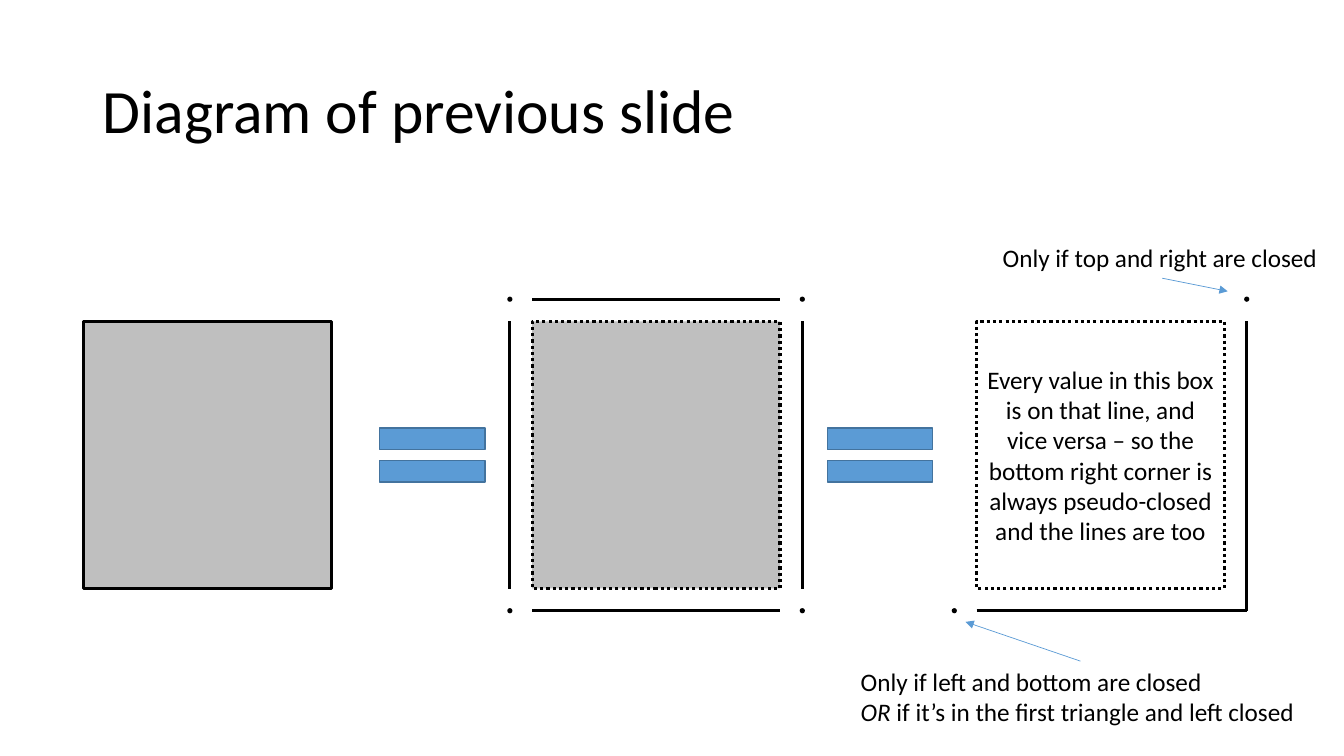
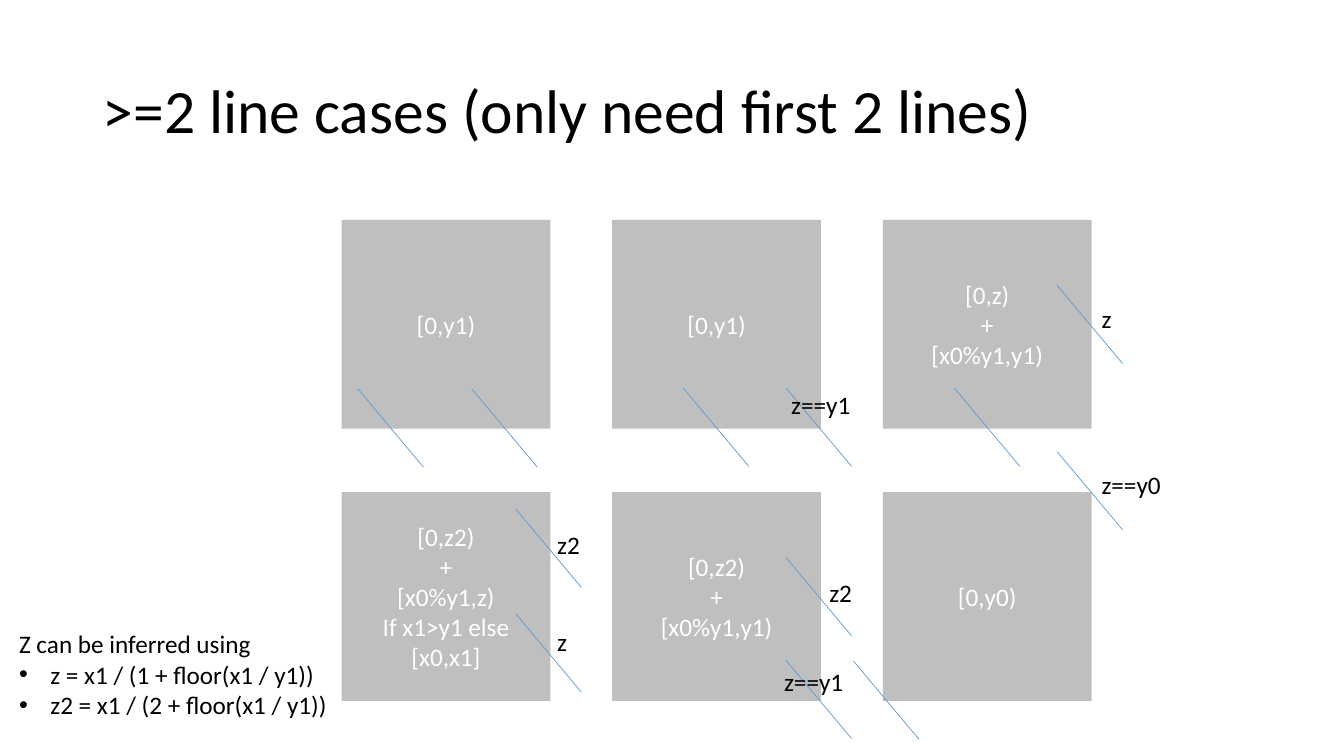
from typing import NamedTuple, Optional

from lxml.etree import SubElement
from pptx import Presentation
from pptx.dml.color import RGBColor as RGB
from pptx.enum.dml import MSO_LINE_DASH_STYLE as Dash
from pptx.enum.shapes import MSO_CONNECTOR as Link, MSO_SHAPE as Kind
from pptx.enum.text import MSO_ANCHOR as Anchor, MSO_AUTO_SIZE as Fit, PP_ALIGN as Align
from pptx.oxml.ns import qn
from pptx.util import Cm, Pt

FONT = "Calibri"
COLORS = {
    "black": "000000",
    "white": "FFFFFF",
    "gray": "BFBFBF",
    "blue": "5B9BD5",
    "edge": "43739E",
}


class Box(NamedTuple):
    x: float
    y: float
    w: float
    h: float

    @property
    def right(self) -> float:
        return self.x + self.w

    @property
    def bottom(self) -> float:
        return self.y + self.h

    def grown(self, gap: float) -> "Box":
        return Box(self.x - gap, self.y - gap, self.w + 2 * gap, self.h + 2 * gap)


class Label(NamedTuple):
    text: str
    box: Box
    italic: str = ""
    bullets_from: Optional[int] = None


class Segment(NamedTuple):
    x1: float
    y1: float
    x2: float
    y2: float


def color(name: str) -> RGB:
    return RGB.from_string(COLORS[name])


def write(tf, text: str, *, size: float = 18, ink: str = "black", align=Align.LEFT,
          anchor=Anchor.TOP, wrap: bool = True, fit=Fit.NONE, spacing: float = 1.0,
          italic: str = "", bullets_from: Optional[int] = None) -> None:
    tf.word_wrap = wrap
    tf.auto_size = fit
    tf.vertical_anchor = anchor
    for n, line in enumerate(text.split("\n")):
        p = tf.paragraphs[0] if n == 0 else tf.add_paragraph()
        p.alignment = align
        p.line_spacing = spacing
        if bullets_from is not None and n >= bullets_from:
            add_bullet(p)
        for k, part in enumerate(line.split("\v")):
            if k:
                p.add_line_break()
            for piece in part.partition(italic) if italic else (part,):
                if not piece:
                    continue
                r = p.add_run()
                r.text = piece
                r.font.name = FONT
                r.font.size = Pt(size)
                r.font.color.rgb = color(ink)
                r.font.italic = bool(italic) and piece == italic


def add_bullet(p) -> None:
    pr = p._p.get_or_add_pPr()
    pr.set("marL", str(Cm(0.79)))
    pr.set("indent", str(-Cm(0.79)))
    SubElement(pr, qn("a:buFont")).set("typeface", "Arial")
    SubElement(pr, qn("a:buChar")).set("char", "•")


def add_shape(s, kind, box: Box, *, fill: Optional[str] = None,
              line: Optional[str] = None, width: float = 2.25, dash=None):
    sp = s.shapes.add_shape(kind, *map(Cm, box))
    sp.shadow.inherit = False
    if fill:
        sp.fill.solid()
        sp.fill.fore_color.rgb = color(fill)
    else:
        sp.fill.background()
    if line:
        sp.line.color.rgb = color(line)
        sp.line.width = Pt(width)
        if dash:
            sp.line.dash_style = dash
    else:
        sp.line.fill.background()
    return sp


def add_line(s, seg: Segment, *, ink: str = "blue", width: float = 0.5,
             arrow: bool = False) -> None:
    cx = s.shapes.add_connector(Link.STRAIGHT, *map(Cm, seg))
    cx.line.color.rgb = color(ink)
    cx.line.width = Pt(width)
    if arrow:
        SubElement(cx.line._get_or_add_ln(), qn("a:tailEnd")).set("type", "triangle")
    SubElement(cx._element.spPr, qn("a:effectLst"))


def add_label(s, label: Label) -> None:
    sp = s.shapes.add_textbox(*map(Cm, label.box))
    write(sp.text_frame, label.text, wrap=False, fit=Fit.SHAPE_TO_FIT_TEXT,
          italic=label.italic, bullets_from=label.bullets_from)


def add_dot(s, x: float, y: float) -> None:
    d = 0.13
    add_shape(s, Kind.OVAL, Box(x - d / 2, y - d / 2, d, d), fill="black")


def add_slide(prs, title: str):
    s = prs.slides.add_slide(prs.slide_layouts[6])
    sp = s.shapes.add_textbox(Cm(2.34), Cm(1.02), Cm(29.21), Cm(3.68))
    write(sp.text_frame, title, size=44, anchor=Anchor.MIDDLE, spacing=0.9)
    return s


def build_diagram(prs) -> None:
    s = add_slide(prs, "Diagram of previous slide")
    closed, opened, reduced = (Box(x, 8.1, 6.25, 6.73) for x in (2.11, 13.41, 24.61))
    gap = 0.56
    add_shape(s, Kind.RECTANGLE, closed, fill="gray", line="black")
    add_shape(s, Kind.RECTANGLE, opened, fill="gray", line="black", dash=Dash.ROUND_DOT)
    sp = add_shape(s, Kind.RECTANGLE, reduced, line="black", dash=Dash.ROUND_DOT)
    write(sp.text_frame,
          "Every value in this box is on that line, and vice versa – so the bottom "
          "right corner is always pseudo-closed and the lines are too",
          align=Align.CENTER, anchor=Anchor.MIDDLE)
    for x in (9.09, 20.37):
        add_shape(s, Kind.MATH_EQUAL, Box(x, 10.31, 3.61, 2.31),
                  fill="blue", line="edge", width=1)

    frame, corner = opened.grown(gap), reduced.grown(gap)
    edges = [Segment(opened.x, y, opened.right, y) for y in (frame.y, frame.bottom)]
    edges += [Segment(x, opened.y, x, opened.bottom) for x in (frame.x, frame.right)]
    edges += [
        Segment(corner.right, reduced.y, corner.right, corner.bottom),
        Segment(reduced.x, corner.bottom, corner.right, corner.bottom),
    ]
    for edge in edges:
        add_line(s, edge, ink="black", width=2.25)
    for x in (frame.x, frame.right):
        for y in (frame.y, frame.bottom):
            add_dot(s, x, y)
    add_dot(s, corner.right, corner.y)
    add_dot(s, corner.x, corner.bottom)

    add_label(s, Label("Only if top and right are closed", Box(25.02, 5.97, 8.53, 1.02)))
    add_label(s, Label("Only if left and bottom are closed\vOR if it’s in the first "
                       "triangle and left closed",
                       Box(21.44, 16.66, 11.58, 1.8), italic="OR"))
    for arrow in (Segment(27.23, 16.66, 24.33, 15.67), Segment(29.29, 7.01, 30.94, 7.34)):
        add_line(s, arrow, arrow=True)


def build_cases(prs) -> None:
    s = add_slide(prs, ">=2 line cases (only need first 2 lines)")
    cases = [
        ["[0,y1)", "[0,y1)", "[0,z)\n+\n[x0%y1,y1)"],
        ["[0,z2)\n+\n[x0%y1,z)\nIf x1>y1 else\n[x0,x1]", "[0,z2)\n+\n[x0%y1,y1)", "[0,y0)"],
    ]
    for row, texts in enumerate(cases):
        for col, text in enumerate(texts):
            box = Box(8.61 + 6.82 * col, 5.54 + 6.86 * row, 5.26, 5.26)
            sp = add_shape(s, Kind.RECTANGLE, box, fill="gray")
            write(sp.text_frame, text, ink="white", align=Align.CENTER,
                  anchor=Anchor.MIDDLE)

    starts = [
        (9.02, 9.8), (11.89, 9.8),
        (17.22, 9.78), (19.81, 9.78),
        (24.05, 9.78), (26.64, 7.19),
        (13, 12.83), (13, 15.47),
        (19.81, 14.05), (19.81, 16.64),
        (21.51, 16.66), (26.64, 11.38),
    ]
    for x, y in starts:
        add_line(s, Segment(x, y, x + 1.65, y + 1.97))

    labels = [
        Label("z==y0", Box(27.51, 11.71, 2.03, 1.02)),
        Label("z", Box(27.51, 7.52, 0.76, 1.02)),
        Label("z2", Box(20.65, 14.43, 1.09, 1.02)),
        Label("z2", Box(13.79, 13.21, 1.09, 1.02)),
        Label("z", Box(13.79, 15.65, 0.76, 1.02)),
        Label("z==y1", Box(19.51, 16.66, 2.03, 1.02)),
        Label("z==y1", Box(19.69, 9.68, 2.03, 1.02)),
        Label("Z can be inferred using \nz = x1 / (1 + floor(x1 / y1))\n"
              "z2 = x1 / (2 + floor(x1 / y1))",
              Box(0.23, 15.72, 8.38, 2.57), bullets_from=1),
    ]
    for label in labels:
        add_label(s, label)


def main() -> None:
    prs = Presentation()
    prs.slide_width, prs.slide_height = Cm(33.87), Cm(19.05)
    build_diagram(prs)
    build_cases(prs)
    prs.save("out.pptx")


main()
